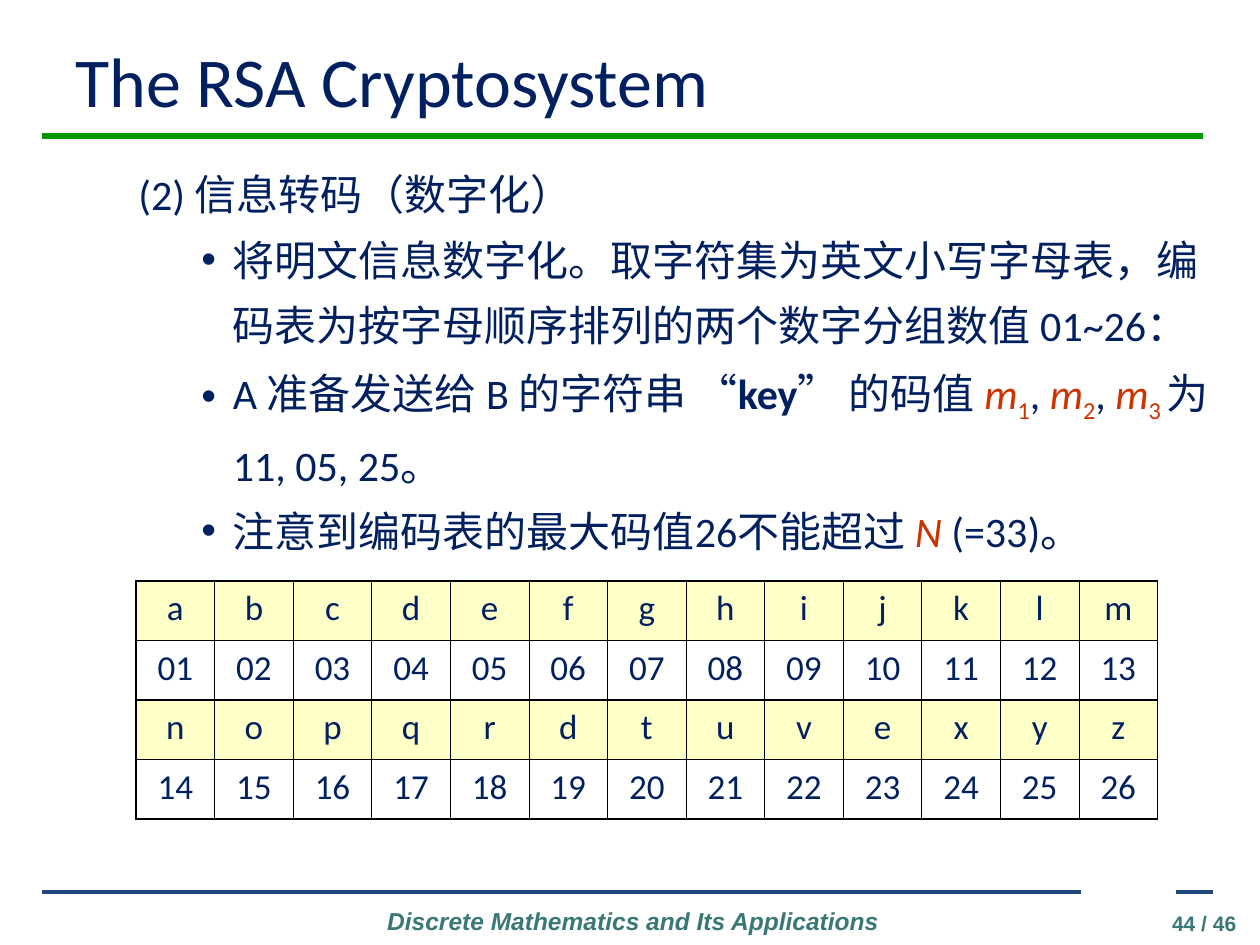
import pptx
import pptx.util
import pptx.dml.color
import pptx.enum.shapes
import pptx.enum.text
import pptx.oxml
import pptx.oxml.ns
import lxml.etree

NAVY = pptx.dml.color.RGBColor(0x00, 0x20, 0x60)
RED = pptx.dml.color.RGBColor(0xCC, 0x33, 0x00)
GREEN = pptx.dml.color.RGBColor(0x00, 0x99, 0x00)
BLUE = pptx.dml.color.RGBColor(0x1F, 0x49, 0x7D)
TEAL = pptx.dml.color.RGBColor(0x3A, 0x78, 0x77)
CREAM = pptx.dml.color.RGBColor(0xFF, 0xFF, 0xC8)
BLACK = pptx.dml.color.RGBColor(0x00, 0x00, 0x00)
ALIGN = pptx.enum.text.PP_ALIGN
ANCHOR = pptx.enum.text.MSO_ANCHOR
qn = pptx.oxml.ns.qn

presentation = pptx.Presentation()
presentation.slide_width = pptx.util.Inches(10)
presentation.slide_height = pptx.util.Inches(7.5)
slide = presentation.slides.add_slide(presentation.slide_layouts[6])
column = presentation.slide_width / 100
row = presentation.slide_height / 100


def write(paragraph, text, size=24, color=NAVY, font="Calibri", bold=False, italic=False, baseline=0):
    run = paragraph.add_run()
    run.text = text
    run.font.size = pptx.util.Pt(size)
    run.font.name = font
    run.font.color.rgb = color
    run.font.bold = bold
    run.font.italic = italic
    if baseline:
        run.font._element.set("baseline", str(baseline))


def add_frame(left, top, width, height, anchor=ANCHOR.TOP):
    box = slide.shapes.add_textbox(
        int(left * column), int(top * row), int(width * column), int(height * row))
    box.text_frame.word_wrap = True
    box.text_frame.vertical_anchor = anchor
    return box.text_frame


for start, end, height, color, weight in [
    (3.3, 95.5, 14.4, GREEN, 3),
    (3.3, 85.8, 94.4, BLUE, 2.25),
    (93.3, 96.3, 94.4, BLUE, 2.25),
]:
    rule = slide.shapes.add_connector(
        pptx.enum.shapes.MSO_CONNECTOR.STRAIGHT,
        int(start * column), int(height * row), int(end * column), int(height * row))
    rule.line.color.rgb = color
    rule.line.width = pptx.util.Pt(weight)
    lxml.etree.SubElement(rule._element.spPr, qn("a:effectLst"))

footer = add_frame(28.3, 95.2, 43.9, 4.5).paragraphs[0]
footer.alignment = ALIGN.CENTER
write(footer, "Discrete Mathematics and Its Applications",
      size=14, color=TEAL, font="Arial", bold=True, italic=True)

page_number = add_frame(88.9, 95.73, 10.2, 3.2).paragraphs[0]
page_number.alignment = ALIGN.RIGHT
write(page_number, "44 / 46", size=12, color=TEAL, font="Arial", bold=True)

title = add_frame(5, 3.33, 90, 10.27, ANCHOR.MIDDLE).paragraphs[0]
write(title, "The RSA Cryptosystem", size=40)

variable = {"color": RED, "italic": True}
subscript = {"color": RED, "baseline": -25000}
body_paragraphs = [
    [("(2) 信息转码（数字化）", {})],
    [("将明文信息数字化。取字符集为英文小写字母表，编码表为按字母顺序排列的两个数字分组数值 01~26：", {})],
    [("A 准备发送给 B 的字符串 “", {}), ("key", {"bold": True}), ("” 的码值 ", {}),
     ("m", variable), ("1", subscript), (", ", {}),
     ("m", variable), ("2", subscript), (", ", {}),
     ("m", variable), ("3 ", subscript), ("为 11, 05, 25。", {})],
    [("注意到编码表的最大码值26不能超过 ", {}), ("N", variable), (" (=33)。", {})],
]
body = add_frame(5, 15.6, 93.3, 44.8)
for index, runs in enumerate(body_paragraphs):
    paragraph = body.add_paragraph() if index else body.paragraphs[0]
    paragraph.line_spacing = 1.3
    margin, indent = (1.25, -0.25) if index else (0.81, -0.31)
    properties = paragraph._p.get_or_add_pPr()
    properties.set("marL", str(pptx.util.Inches(margin)))
    properties.set("indent", str(pptx.util.Inches(indent)))
    if index:
        paragraph.level = 2
        bullet_color = lxml.etree.SubElement(properties, qn("a:buClr"))
        lxml.etree.SubElement(bullet_color, qn("a:srgbClr"), val=str(NAVY))
        lxml.etree.SubElement(properties, qn("a:buFont"), typeface="Arial")
        lxml.etree.SubElement(properties, qn("a:buChar"), char="•")
    for text, text_format in runs:
        write(paragraph, text, **text_format)

code_rows = [
    list("abcdefghijklm"),
    [f"{code:02}" for code in range(1, 14)],
    list("nopqrdtuvexyz"),
    [f"{code:02}" for code in range(14, 27)],
]
row_count, column_count = len(code_rows), len(code_rows[0])
table = slide.shapes.add_table(
    row_count, column_count, int(10.8 * column), int(61.47 * row),
    int(81.1 * column), int(25.2 * row)).table
table.first_row = False
table.horz_banding = False
for row_index, values in enumerate(code_rows):
    is_letter_row = row_index % 2 == 0
    for column_index, value in enumerate(values):
        cell = table.cell(row_index, column_index)
        if is_letter_row:
            cell.fill.solid()
            cell.fill.fore_color.rgb = CREAM
        else:
            cell.fill.background()
        paragraph = cell.text_frame.paragraphs[0]
        paragraph.alignment = ALIGN.CENTER
        write(paragraph, value, size=20)
        thick_sides = {
            "a:lnL": column_index == 0,
            "a:lnR": column_index == column_count - 1,
            "a:lnT": is_letter_row,
            "a:lnB": not is_letter_row,
        }
        cell_properties = cell._tc.get_or_add_tcPr()
        for position, (side, thick) in enumerate(thick_sides.items()):
            border = lxml.etree.Element(qn(side), w=str(pptx.util.Pt(1.08 if thick else 0.45)))
            fill = lxml.etree.SubElement(border, qn("a:solidFill"))
            lxml.etree.SubElement(fill, qn("a:srgbClr"), val=str(BLACK))
            cell_properties.insert(position, border)

presentation.save("out.pptx")
